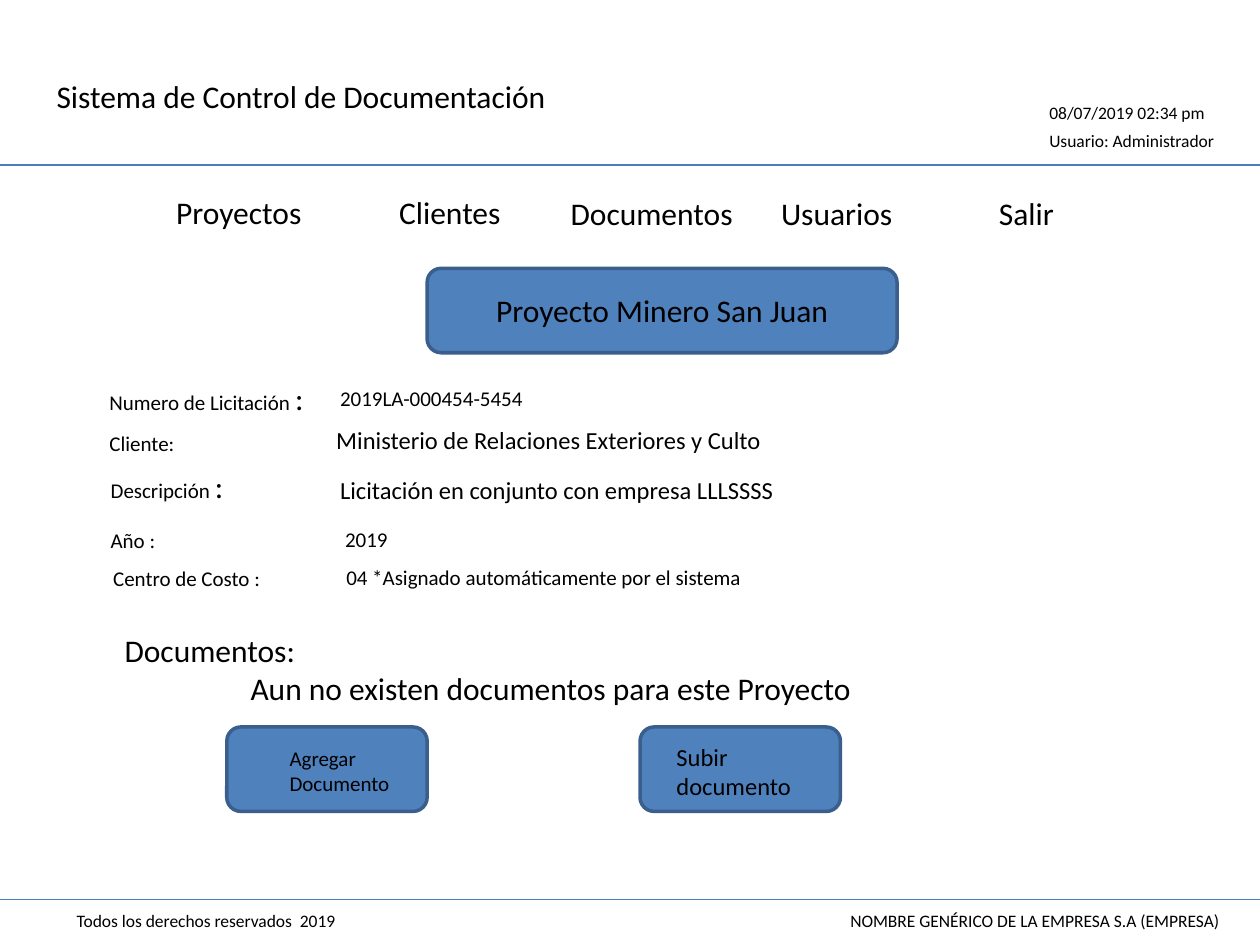
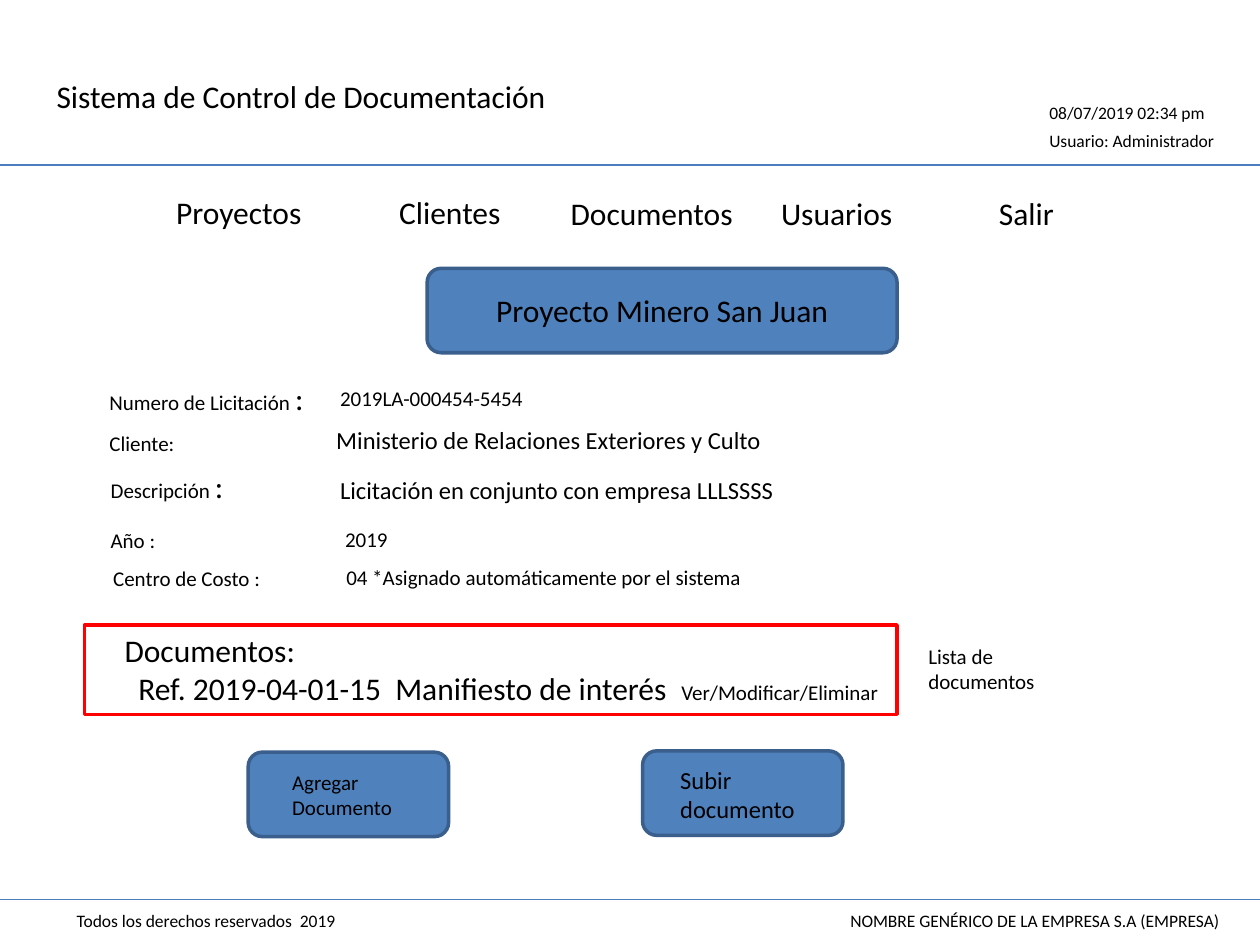
from pptx import Presentation
from pptx.dml.color import RGBColor
from pptx.enum.shapes import MSO_CONNECTOR as Conn, MSO_SHAPE as Kind
from pptx.enum.text import MSO_AUTO_SIZE as Fit
from pptx.oxml.ns import qn
from pptx.util import Inches, Pt
from lxml.etree import SubElement

WIDE, HIGH = 10, 7.5
FONT = "Calibri"
INK, BLUE, EDGE, RULE, RED = "000000", "4F81BD", "3A5F8C", "4B7EBC", "FF0000"

RULES = [1.31, 7.14]
FRAME = [
    (0.35, 0.56, 4.49, 18, "Sistema de Control de Documentación"),
    (8.23, 0.76, 1.64, 10, "08/07/2019 02:34 pm"),
    (8.23, 0.98, 1.64, 10, "Usuario: Administrador"),
    (0.51, 7.17, 2.99, 10, "Todos los derechos reservados  2019"),
    (6.65, 7.17, 3.21, 10, "NOMBRE GENÉRICO DE LA EMPRESA S.A (EMPRESA)"),
]
MENU = [
    (1.3, 1.48, 1.42, 18, "Proyectos"),
    (3.07, 1.48, 1.14, 18, "Clientes"),
    (4.43, 1.49, 1.52, 18, "Documentos"),
    (6.1, 1.49, 1.52, 18, "Usuarios"),
    (7.83, 1.49, 0.87, 18, "Salir"),
]
LABELS = [
    (0.77, 2.96, 2.48, 12, "Numero de Licitación ", (":", 18)),
    (0.77, 3.37, 1.42, 12, "Cliente:"),
    (0.78, 3.66, 1.57, 12, "Descripción ", (":", 18)),
    (0.78, 4.14, 1.57, 12, "Año :"),
    (0.8, 4.44, 1.57, 12, "Centro de Costo :"),
]
VALUES = [
    (2.6, 3.01, 2.48, 12, "2019LA-000454-5454"),
    (2.57, 3.32, 4.61, 14, "Ministerio de Relaciones Exteriores y Culto"),
    (2.6, 3.72, 3.98, 14, "Licitación en conjunto con empresa LLLSSSS"),
    (2.64, 4.13, 0.86, 12, "2019"),
    (2.65, 4.43, 5.17, 12, "04 *Asignado automáticamente por el sistema"),
]
HEAD = (3.39, 2.13, 3.73), (3.84, 2.26, 3.03, 18, "Proyecto Minero San Juan")
DOCS = (0.89, 4.96, 8.6, 18, "Documentos:")
ADD, LOAD = "Agregar Documento", "Subir documento"
PAGES = [
    {
        "indent": 1,
        "docs": [("Aun no existen documentos para este Proyecto", 18)],
        "keys": [
            ((1.8, 5.77, 1.59), (2.2, 5.87, 1.04, 12, ADD)),
            ((5.08, 5.77, 1.59), (5.27, 5.84, 1.28, 14, LOAD)),
        ],
    },
    {
        "indent": 0.11,
        "docs": [("Ref. 2019-04-01-15  Manifiesto de interés  ", 18),
                 ("Ver/Modificar/Eliminar", 12)],
        "keys": [
            ((1.97, 5.97, 1.59), (2.22, 6.06, 1.04, 12, ADD)),
            ((5.1, 5.96, 1.59), (5.3, 6.02, 1.28, 14, LOAD)),
        ],
        "list": (0.67, 4.96, 6.45, 0.71),
        "note": (7.27, 5.06, 1.53, 12, "Lista de documentos"),
    },
]


def color(code):
    return RGBColor.from_string(code)


def style(run, size):
    run.font.name, run.font.size = FONT, Pt(size)
    run.font.color.rgb = color(INK)


def add_runs(para, parts):
    for words, size in parts:
        run = para.add_run()
        run.text = words
        style(run, size)


def write(slide, x, y, w, size, words, *more, rows=1):
    tall = max([size] + [part[1] for part in more])
    high = rows * tall * 1.2 / 72 + 0.1
    box = slide.shapes.add_textbox(*map(Inches, (x, y, w, high)))
    frame = box.text_frame
    frame.word_wrap, frame.auto_size = True, Fit.SHAPE_TO_FIT_TEXT
    para = frame.paragraphs[0]
    para.text = words
    style(para.runs[0], size)
    add_runs(para, more)
    return frame


def block(slide, kind, place, fill, edge):
    shape = slide.shapes.add_shape(kind, *map(Inches, place))
    shape.shadow.inherit = False
    if fill:
        shape.fill.solid()
        shape.fill.fore_color.rgb = color(fill)
    else:
        shape.fill.background()
    shape.line.color.rgb = color(edge)
    shape.line.width = Pt(2)


def button(slide, place, label, rows=1):
    block(slide, Kind.ROUNDED_RECTANGLE, (*place, 0.67), BLUE, EDGE)
    write(slide, *label, rows=rows)


def rule(slide, y):
    line = slide.shapes.add_connector(
        Conn.STRAIGHT, 0, Inches(y), Inches(WIDE), Inches(y))
    line.line.color.rgb = color(RULE)
    line.line.width = Pt(0.75)
    SubElement(line._element.spPr, qn("a:effectLst"))


def build(deck, page):
    slide = deck.slides.add_slide(deck.slide_layouts[6])
    for y in RULES:
        rule(slide, y)
    for item in FRAME + MENU + LABELS + VALUES:
        write(slide, *item)
    button(slide, *HEAD)
    for place, label in page["keys"]:
        button(slide, place, label, rows=2)
    para = write(slide, *DOCS, rows=2).add_paragraph()
    para._p.get_or_add_pPr().set("marL", str(Inches(page["indent"])))
    add_runs(para, page["docs"])
    if "list" in page:
        block(slide, Kind.RECTANGLE, page["list"], None, RED)
        write(slide, *page["note"], rows=2)


def main():
    deck = Presentation()
    deck.slide_width, deck.slide_height = Inches(WIDE), Inches(HIGH)
    for page in PAGES:
        build(deck, page)
    deck.save("out.pptx")


if __name__ == "__main__":
    main()
